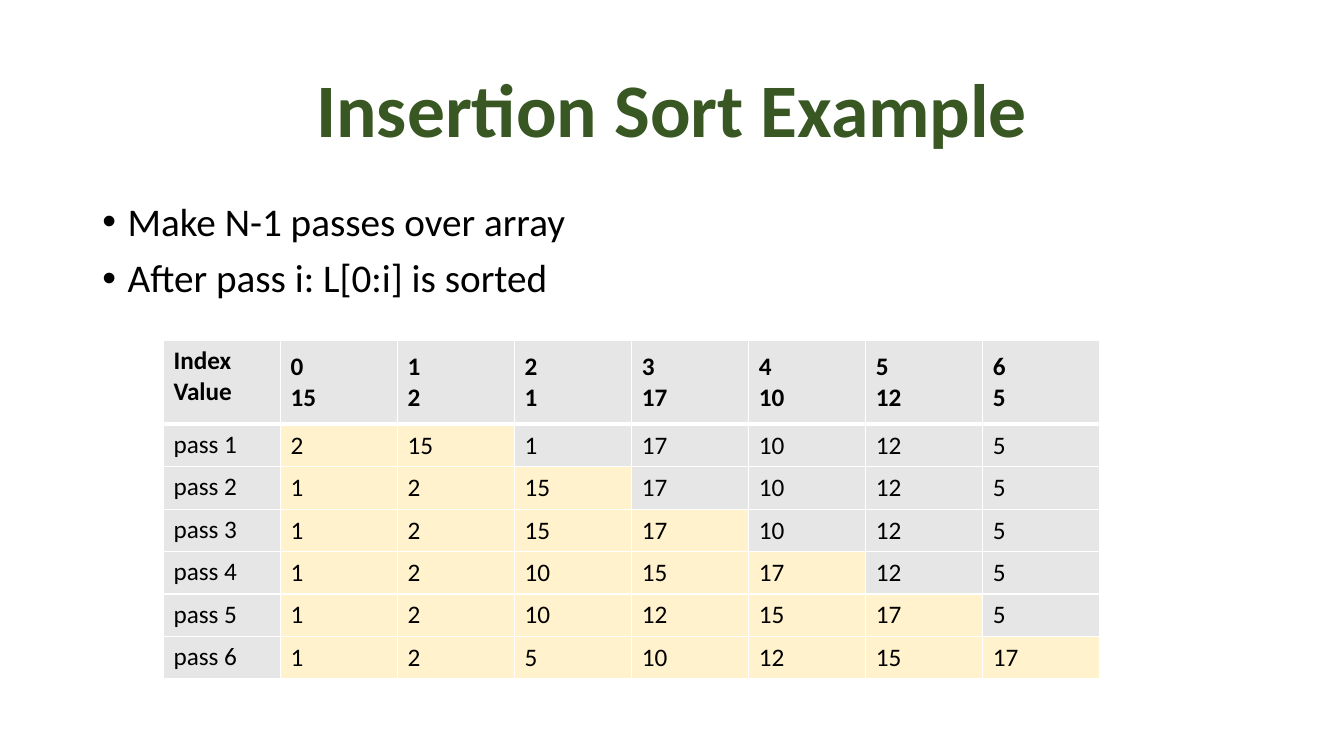
from pptx import Presentation
from pptx.dml.color import RGBColor
from pptx.enum.text import MSO_ANCHOR as Anchor, PP_ALIGN as Align
from pptx.oxml import parse_xml
from pptx.oxml.ns import nsdecls
from pptx.util import Cm, Pt

GREEN, BLACK, WHITE = "385723", "000000", "FFFFFF"
GREY, YELLOW = "E7E6E6", "FFF2CC"


def rgb(color):
    return RGBColor.from_string(color)


def write(frame, lines, size, color=BLACK, bold=False, align=Align.LEFT,
          anchor=Anchor.TOP, spacing=1.0, before=0, bullet=False):
    frame.word_wrap = True
    frame.text = "\n".join(lines)
    for line in frame.paragraphs:
        line.alignment = align
        line.line_spacing = spacing
        line.space_before = Pt(before)
        font = line.runs[0].font
        font.name, font.size, font.bold = "Calibri", Pt(size), bold
        font.color.rgb = rgb(color)
        if bullet:
            props = line._p.get_or_add_pPr()
            props.set("marL", str(Cm(0.64)))
            props.set("indent", str(-Cm(0.64)))
            props.append(parse_xml(f'<a:buFont {nsdecls("a")} typeface="Arial"/>'))
            props.append(parse_xml(f'<a:buChar {nsdecls("a")} char="•"/>'))
    frame.vertical_anchor = anchor


deck = Presentation()
deck.slide_width, deck.slide_height = Cm(33.87), Cm(19.05)
slide = deck.slides.add_slide(deck.slide_layouts[5])

# Title
title = slide.shapes.title
title.left, title.top, title.width, title.height = Cm(2.33), Cm(1.01), Cm(29.21), Cm(3.68)
write(title.text_frame, ["Insertion Sort Example"], 54, color=GREEN, bold=True,
      align=Align.CENTER, anchor=Anchor.MIDDLE, spacing=0.9)

# Rules of the algorithm
rules = slide.shapes.add_textbox(Cm(2.33), Cm(4.98), Cm(29.21), Cm(12.09))
write(rules.text_frame, ["Make N-1 passes over array", "After pass i: L[0:i] is sorted"],
      28, spacing=0.9, before=10, bullet=True)

# Array after each pass: the first i + 1 values are in order
values = [15, 2, 1, 17, 10, 12, 5]
rows = [["Index\nValue"] + [f"{index}\n{value}" for index, value in enumerate(values)]]
for i in range(1, len(values)):
    state = sorted(values[:i + 1]) + values[i + 1:]
    rows.append([f"pass {i}"] + [str(value) for value in state])

# Table of passes
passes = slide.shapes.add_table(len(rows), len(rows[0]), Cm(4.12), Cm(8.58),
                                Cm(23.6), Cm(8.53)).table
passes.horz_banding = False
for column in passes.columns:
    column.width = Cm(2.95)
for i, row in enumerate(rows):
    passes.rows[i].height = Cm(2.11 if i == 0 else 1.07)
    for j, entry in enumerate(row):
        cell = passes.cell(i, j)
        write(cell.text_frame, entry.split("\n"), 18, bold=i == 0)
        cell.vertical_anchor = Anchor.TOP if j == 0 else Anchor.MIDDLE
        in_order = i > 0 and 1 <= j <= i + 1
        cell.fill.solid()
        cell.fill.fore_color.rgb = rgb(YELLOW if in_order else GREY)

        # White borders, thicker under the header
        borders = {"lnL": 1, "lnR": 1, "lnT": 3 if i == 1 else 1, "lnB": 3 if i == 0 else 1}
        for place, (side, width) in enumerate(borders.items()):
            cell._tc.get_or_add_tcPr().insert(place, parse_xml(
                f'<a:{side} {nsdecls("a")} w="{Pt(width)}"><a:solidFill>'
                f'<a:srgbClr val="{WHITE}"/></a:solidFill></a:{side}>'))

deck.save("out.pptx")
